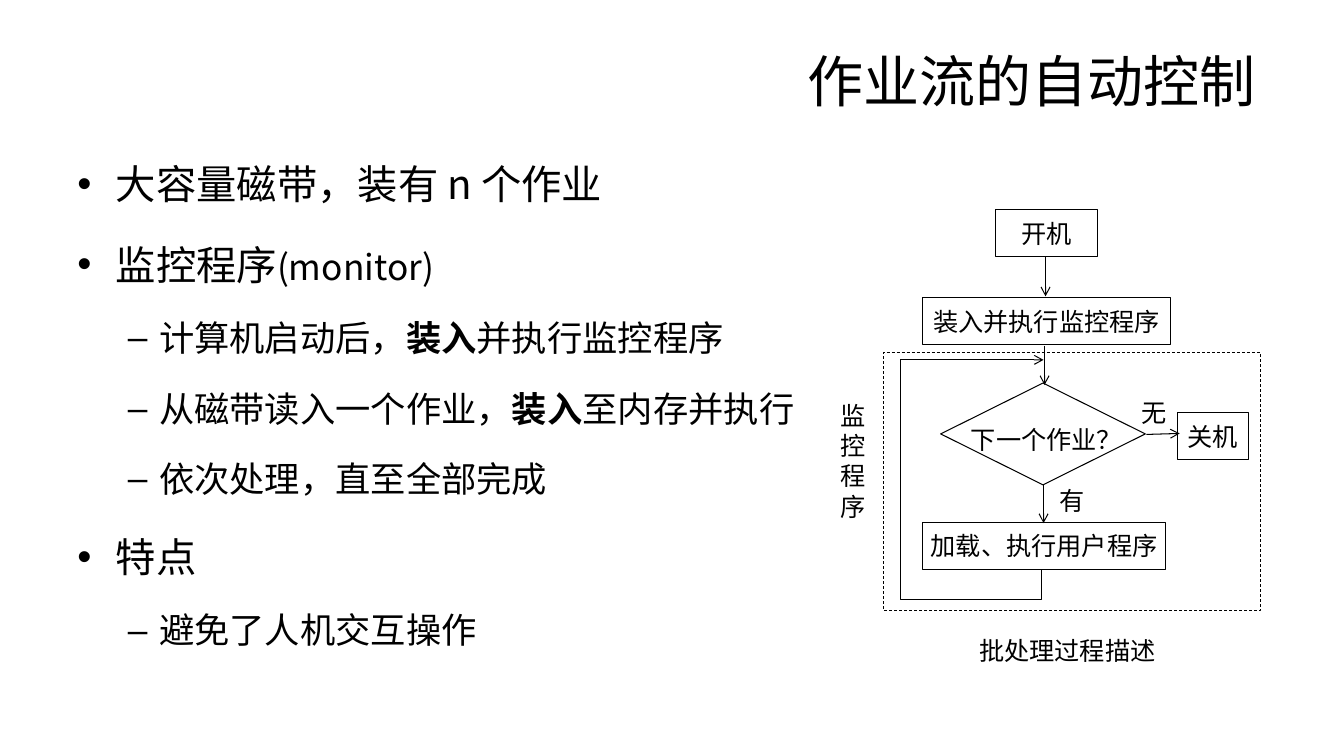
from dataclasses import dataclass

from lxml.etree import SubElement
from pptx import Presentation
from pptx.dml.color import RGBColor
from pptx.enum.dml import MSO_LINE
from pptx.enum.shapes import MSO_CONNECTOR, MSO_SHAPE
from pptx.enum.text import MSO_ANCHOR, PP_ALIGN
from pptx.oxml.ns import qn
from pptx.util import Inches, Pt


@dataclass(frozen=True)
class Theme:
    ink = RGBColor(0, 0, 0)
    paper = RGBColor(255, 255, 255)
    title_font = "Arial"
    font = "Noto Sans CJK SC"
    title_size = 40
    topic_size = 28.8
    detail_size = 25.2
    label_size = 18
    thin = 0.5
    stroke = 0.75


THEME = Theme()

# Each entry: level, then (text, size, bold) runs
TOPIC, DETAIL = THEME.topic_size, THEME.detail_size
OUTLINE = [
    (0, [("大容量磁带，装有 n 个作业", TOPIC, False)]),
    (0, [("监控程序", TOPIC, False), ("(monitor)", DETAIL, False)]),
    (1, [("计算机启动后，", DETAIL, False), ("装入", DETAIL, True),
         ("并执行监控程序", DETAIL, False)]),
    (1, [("从磁带读入一个作业，", DETAIL, False), ("装入", DETAIL, True),
         ("至内存并执行", DETAIL, False)]),
    (1, [("依次处理，直至全部完成", DETAIL, False)]),
    (0, [("特点", TOPIC, False)]),
    (1, [("避免了人机交互操作", DETAIL, False)]),
]
# Bullet, left margin and hanging indent of each level
LEVELS = [("•", 0.38, 0.38), ("–", 0.81, 0.31)]

ROW_HEIGHT = 0.47
STEPS = [
    ("开机", 9.87, 2.08, 1.02),
    ("装入并执行监控程序", 9.15, 2.95, 2.46),
    ("加载、执行用户程序", 9.15, 5.18, 2.41),
    ("关机", 11.68, 4.09, 0.7),
]
LABELS = [
    ("下一个作业？", 9.46, 4.12, 1.84),
    ("批处理过程描述", 9.48, 6.22, 2.21),
    ("有", 10.39, 4.73, 0.49),
    ("无", 11.2, 3.86, 0.49),
]
ARROWS = [
    (10.37, 2.55, 10.37, 2.94),
    (10.36, 3.43, 10.36, 3.82),
    (10.35, 4.81, 10.35, 5.19),
    (11.37, 4.31, 11.7, 4.3),
]
LOOP_BACK = [(10.33, 5.65), (10.33, 5.95), (8.93, 5.95), (8.93, 3.57), (10.35, 3.57)]


def set_font(run, size, font=THEME.font, bold=False):
    run.font.size = Pt(size)
    run.font.name = font
    run.font.bold = bold
    run.font.color.rgb = THEME.ink
    SubElement(run.font._element, qn("a:ea"), typeface=THEME.font)


def add_text_box(slide, left, top, width, height):
    box = slide.shapes.add_textbox(*map(Inches, (left, top, width, height)))
    box.text_frame.word_wrap = True
    return box.text_frame


def write_label(frame, text):
    """Fill a frame with one centred flowchart label."""
    frame.word_wrap = True
    frame.vertical_anchor = MSO_ANCHOR.MIDDLE
    frame.margin_left = frame.margin_right = Inches(0.02)
    frame.margin_top = frame.margin_bottom = Inches(0.02)
    frame.text = text
    frame.paragraphs[0].alignment = PP_ALIGN.CENTER
    set_font(frame.paragraphs[0].runs[0], THEME.label_size)


def add_outlined(slide, kind, left, top, width, height):
    shape = slide.shapes.add_shape(kind, *map(Inches, (left, top, width, height)))
    shape.shadow.inherit = False
    shape.fill.solid()
    shape.fill.fore_color.rgb = THEME.paper
    shape.line.color.rgb = THEME.ink
    shape.line.width = Pt(THEME.stroke)
    return shape


def point_arrow(line):
    """Give a line its colour, width and arrowhead."""
    line.color.rgb = THEME.ink
    line.width = Pt(THEME.stroke)
    SubElement(line._get_or_add_ln(), qn("a:tailEnd"), type="arrow")


def add_arrow(slide, *ends):
    arrow = slide.shapes.add_connector(MSO_CONNECTOR.STRAIGHT, *map(Inches, ends))
    point_arrow(arrow.line)
    SubElement(arrow._element.spPr, qn("a:effectLst"))


def add_loop(slide, points):
    start, *turns = [(Inches(x), Inches(y)) for x, y in points]
    builder = slide.shapes.build_freeform(*start)
    builder.add_line_segments(turns, close=False)
    loop = builder.convert_to_shape()
    loop.shadow.inherit = False
    loop.fill.background()
    point_arrow(loop.line)


def add_title(slide, text):
    frame = add_text_box(slide, 0.67, 0.3, 12, 0.99)
    frame.vertical_anchor = MSO_ANCHOR.MIDDLE
    frame.text = text
    frame.paragraphs[0].alignment = PP_ALIGN.RIGHT
    set_font(frame.paragraphs[0].runs[0], THEME.title_size, THEME.title_font)


def add_outline(slide):
    frame = add_text_box(slide, 0.67, 1.29, 12, 5.41)
    for index, (level, pieces) in enumerate(OUTLINE):
        paragraph = frame.add_paragraph() if index else frame.paragraphs[0]
        bullet, margin, hanging = LEVELS[level]
        paragraph.level = level
        paragraph.line_spacing = 1.5
        paragraph.space_before = Pt(0.2 * pieces[0][1] if index else 0)
        props = paragraph._p.get_or_add_pPr()
        props.set("marL", str(Inches(margin)))
        props.set("indent", str(-Inches(hanging)))
        SubElement(props, qn("a:buFont"), typeface=THEME.title_font)
        SubElement(props, qn("a:buChar"), char=bullet)
        for text, size, bold in pieces:
            run = paragraph.add_run()
            run.text = text
            set_font(run, size, bold=bold)


def add_flowchart(slide):
    monitor_zone = add_outlined(slide, MSO_SHAPE.RECTANGLE, 8.76, 3.5, 3.74, 2.56)
    monitor_zone.fill.background()
    monitor_zone.line.width = Pt(THEME.thin)
    monitor_zone.line.dash_style = MSO_LINE.DASH

    add_outlined(slide, MSO_SHAPE.FLOWCHART_DECISION, 9.33, 3.8, 2.03, 1.01)
    for text, left, top, width in STEPS:
        step = add_outlined(slide, MSO_SHAPE.RECTANGLE, left, top, width, ROW_HEIGHT)
        write_label(step.text_frame, text)
    for ends in ARROWS:
        add_arrow(slide, *ends)
    add_loop(slide, LOOP_BACK)
    for text, left, top, width in LABELS:
        write_label(add_text_box(slide, left, top, width, ROW_HEIGHT), text)

    zone_name = add_text_box(slide, 8.24, 3.92, 0.59, 1.31)
    zone_name.text = "监控程序"
    set_font(zone_name.paragraphs[0].runs[0], THEME.label_size)


def main():
    deck = Presentation()
    deck.slide_width, deck.slide_height = Inches(13.33), Inches(7.5)
    slide = deck.slides.add_slide(deck.slide_layouts[6])
    add_title(slide, "作业流的自动控制 ")
    add_outline(slide)
    add_flowchart(slide)
    deck.save("out.pptx")


if __name__ == "__main__":
    main()
